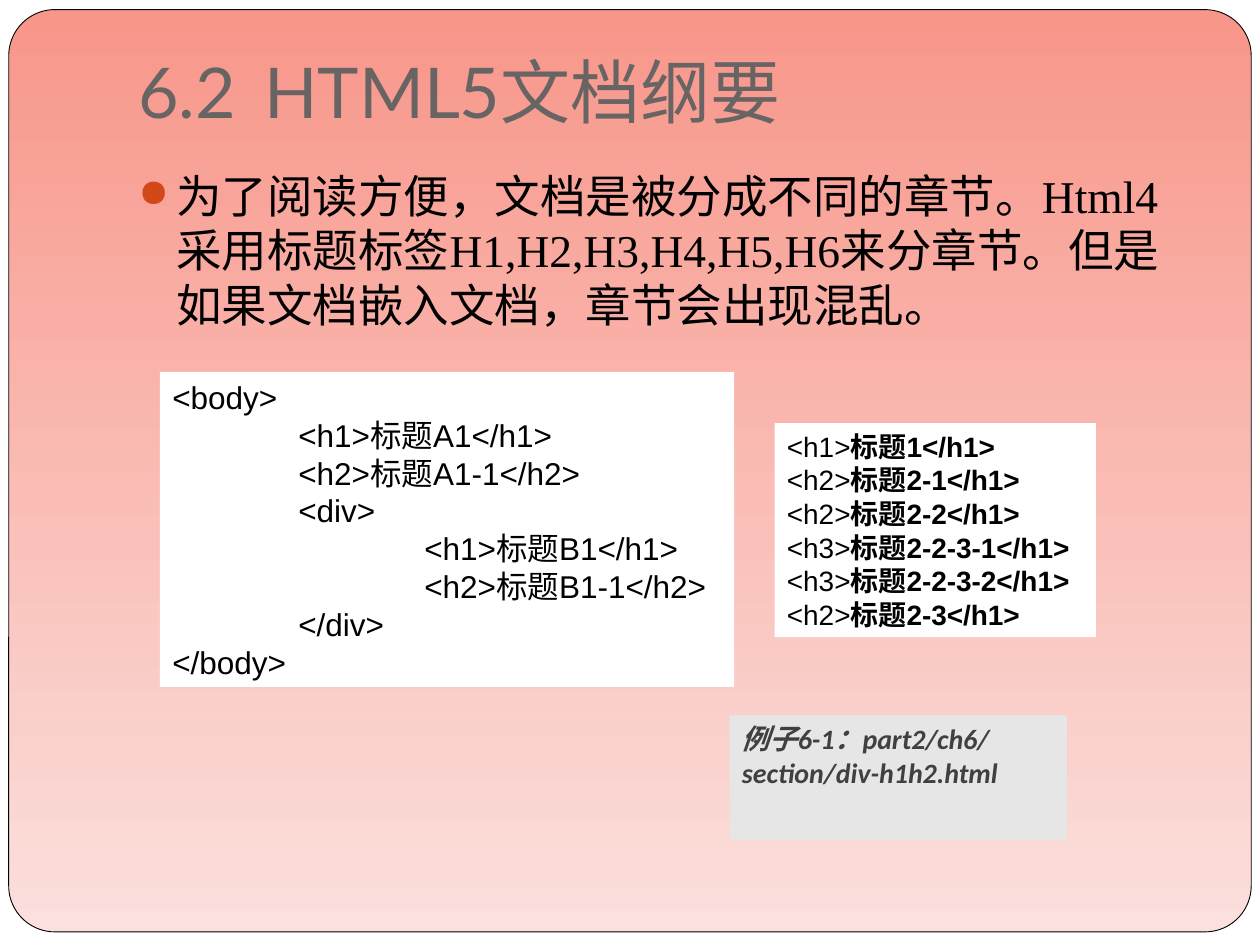
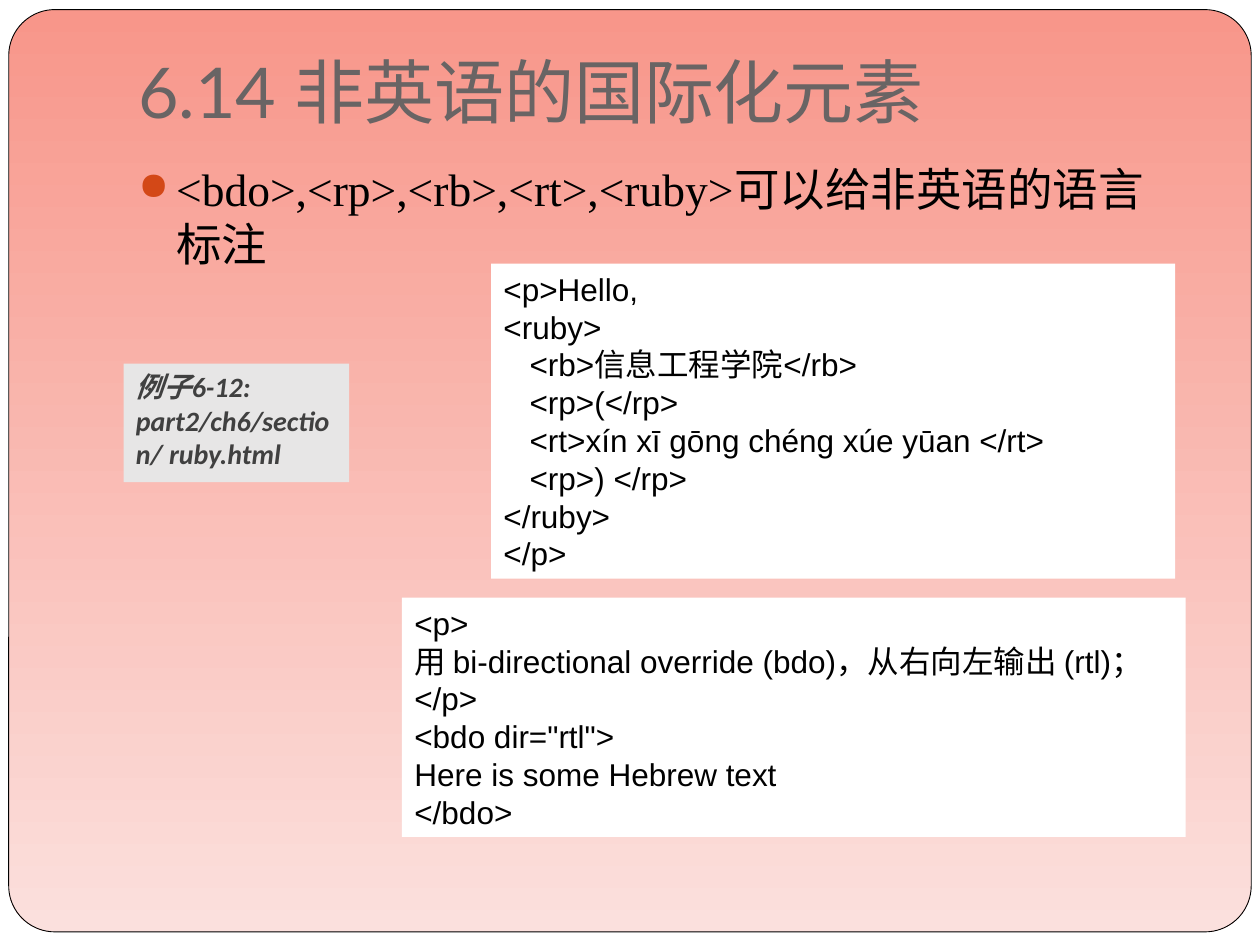
from collections import namedtuple
from dataclasses import dataclass

from lxml.etree import SubElement
from pptx import Presentation
from pptx.dml.color import RGBColor as RGB
from pptx.enum.shapes import MSO_SHAPE as SHAPE
from pptx.enum.text import MSO_ANCHOR as ANCHOR, MSO_AUTO_SIZE as AUTO_SIZE, PP_ALIGN as ALIGN
from pptx.oxml.ns import qn
from pptx.util import Pt

Type = namedtuple("Type", "size font colour bold italic", defaults=(False, False))


@dataclass(frozen=True)
class Theme:
    page: str = "FFFFFF"
    card_top: str = "F8968A"
    card_bottom: str = "FBE0DD"
    outline: str = "000000"
    bullet: str = "D34817"
    code_fill: str = "FFFFFF"
    example_fill: str = "E7E6E6"
    title: Type = Type(40, "Lato", "696464")
    body: Type = Type(26, "Times New Roman", "000000")
    code: Type = Type(18, "Arial", "000000")
    heading_tag: Type = Type(16, "Arial", "000000")
    heading_name: Type = Type(16, "Arial", "000000", True)
    example: Type = Type(16, "Calibri", "404040", True, True)


theme = Theme()


def write(paragraph, text, style):
    """Add text in one style; a newline becomes a line break, a tab moves to the next inch."""
    paragraph.alignment = ALIGN.LEFT
    if "\t" in text:
        stops = SubElement(paragraph._p.get_or_add_pPr(), qn("a:tabLst"))
        for inch in range(1, 9):
            SubElement(stops, qn("a:tab"), pos=str(Pt(72 * inch)), algn="l")
    for index, line in enumerate(text.split("\n")):
        if index:
            paragraph.add_line_break()
        run = paragraph.add_run()
        run.text = line
        run.font.size = Pt(style.size)
        run.font.name = style.font
        run.font.color.rgb = RGB.from_string(style.colour)
        run.font.bold = style.bold
        run.font.italic = style.italic


def add_panel(slide, box, fill, paragraphs, wrap=False, grow=True):
    """Add a filled rectangle; each paragraph is a list of (text, style) runs."""
    panel = slide.shapes.add_shape(SHAPE.RECTANGLE, *map(Pt, box))
    panel.shadow.inherit = False
    panel.fill.solid()
    panel.fill.fore_color.rgb = RGB.from_string(fill)
    panel.line.fill.background()
    frame = panel.text_frame
    frame.vertical_anchor = ANCHOR.TOP
    frame.word_wrap = wrap
    frame.auto_size = AUTO_SIZE.SHAPE_TO_FIT_TEXT if grow else AUTO_SIZE.NONE
    for index, runs in enumerate(paragraphs):
        paragraph = frame.add_paragraph() if index else frame.paragraphs[0]
        for text, style in runs:
            write(paragraph, text, style)


prs = Presentation()
prs.slide_width, prs.slide_height = Pt(720), Pt(540)

# Shared card, title and bulleted statement
topics = [
    ("6.2\tHTML5文档纲要", 92.2,
     "为了阅读方便，文档是被分成不同的章节。Html4采用标题标签H1,H2,H3,H4,H5,H6来分章节。"
     "但是如果文档嵌入文档，章节会出现混乱。"),
    ("6.14 非英语的国际化元素", 88.6,
     "<bdo>,<rp>,<rb>,<rt>,<ruby>可以给非英语的语言标注"),
]
slides = []
for heading, statement_top, statement in topics:
    slide = prs.slides.add_slide(prs.slide_layouts[6])
    slides.append(slide)
    slide.background.fill.solid()
    slide.background.fill.fore_color.rgb = RGB.from_string(theme.page)

    card = slide.shapes.add_shape(SHAPE.ROUNDED_RECTANGLE, Pt(5), Pt(5.5), Pt(710), Pt(527))
    card.adjustments[0] = 0.05
    card.shadow.inherit = False
    card.fill.gradient()
    card.fill.gradient_angle = 270
    for stop, colour, position in zip(card.fill.gradient_stops,
                                      (theme.card_top, theme.card_bottom), (0, 1)):
        stop.color.rgb = RGB.from_string(colour)
        stop.position = position
    card.line.color.rgb = RGB.from_string(theme.outline)
    card.line.width = Pt(0.5)

    title = slide.shapes.add_textbox(Pt(72), Pt(21.6), Pt(612), Pt(61.2)).text_frame
    title.word_wrap = True
    title.vertical_anchor = ANCHOR.BOTTOM
    title.margin_bottom = Pt(7.2)
    write(title.paragraphs[0], heading, theme.title)

    body = slide.shapes.add_textbox(Pt(72), Pt(statement_top), Pt(612), Pt(385.2)).text_frame
    body.word_wrap = True
    point = body.paragraphs[0]
    props = point._p.get_or_add_pPr()
    props.set("marL", str(Pt(21.6)))
    props.set("indent", str(Pt(-21.6)))
    SubElement(SubElement(props, qn("a:buClr")), qn("a:srgbClr"), val=theme.bullet)
    SubElement(props, qn("a:buSzPct"), val="85000")
    SubElement(props, qn("a:buChar"), char="●")
    write(point, statement, theme.body)

outline_slide, ruby_slide = slides

# Document outline
headings = [
    ("<h1>", "标题1</h1>"),
    ("<h2>", "标题2-1</h1>"),
    ("<h2>", "标题2-2</h1>"),
    ("<h3>", "标题2-2-3-1</h1>"),
    ("<h3>", "标题2-2-3-2</h1>"),
    ("<h2>", "标题2-3</h1>"),
]
add_panel(outline_slide, (442.6, 241.8, 183.6, 122.4), theme.code_fill,
          [[(tag, theme.heading_tag), (name, theme.heading_name)] for tag, name in headings])

nested_document = [
    "<body>",
    "\t<h1>标题A1</h1>",
    "\t<h2>标题A1-1</h2>",
    "\t<div>",
    "\t\t<h1>标题B1</h1>",
    "\t\t<h2>标题B1-1</h2>",
    "\t</div>",
    "</body>",
]
add_panel(outline_slide, (91.4, 212.5, 328.2, 180), theme.code_fill,
          [[(line, theme.code)] for line in nested_document])

add_panel(outline_slide, (416.9, 408.8, 192.8, 71), theme.example_fill,
          [[("例子6-1：part2/ch6/section/div-h1h2.html", theme.example)]], wrap=True, grow=False)

# Internationalisation elements
ruby_markup = """<p>Hello,
<ruby>
   <rb>信息工程学院</rb>
   <rp>(</rp>
   <rt>xín xī gōng chéng xúe yūan </rt>
   <rp>) </rp>
</ruby>
</p>"""
add_panel(ruby_slide, (280.6, 150.7, 391, 180), theme.code_fill,
          [[(ruby_markup, theme.code)]], wrap=True)

bdo_markup = [
    "<p>",
    "用 bi-directional override (bdo)，从右向左输出 (rtl)；",
    "</p>",
    '<bdo dir="rtl">',
    "Here is some Hebrew text",
    "</bdo>",
]
add_panel(ruby_slide, (229.7, 341.5, 447.8, 136.8), theme.code_fill,
          [[(line, theme.code)] for line in bdo_markup])

add_panel(ruby_slide, (70.6, 207.8, 128.9, 67.7), theme.example_fill,
          [[("例子6-12: part2/ch6/section/ ruby.html", theme.example)]], wrap=True, grow=False)

prs.save("out.pptx")
